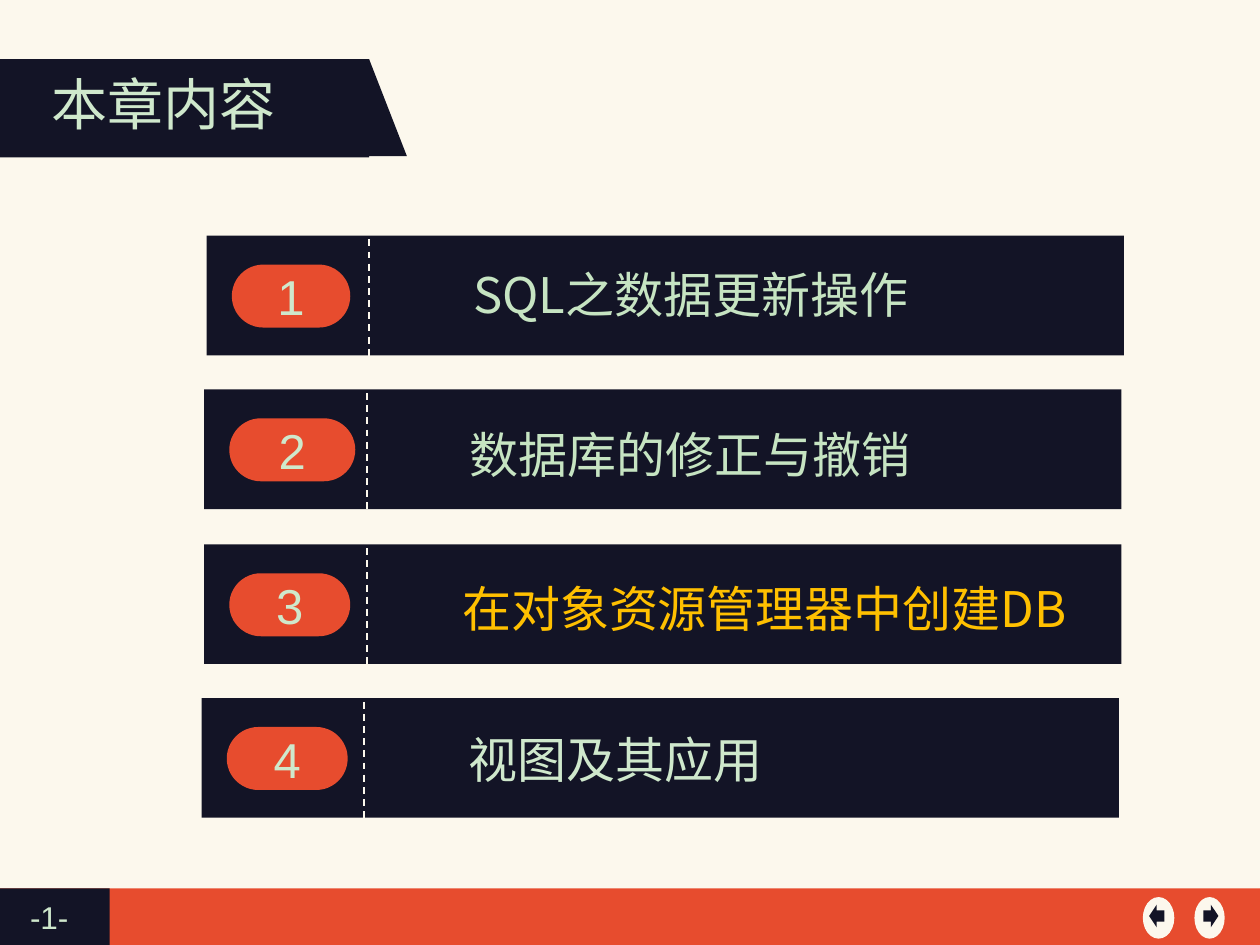
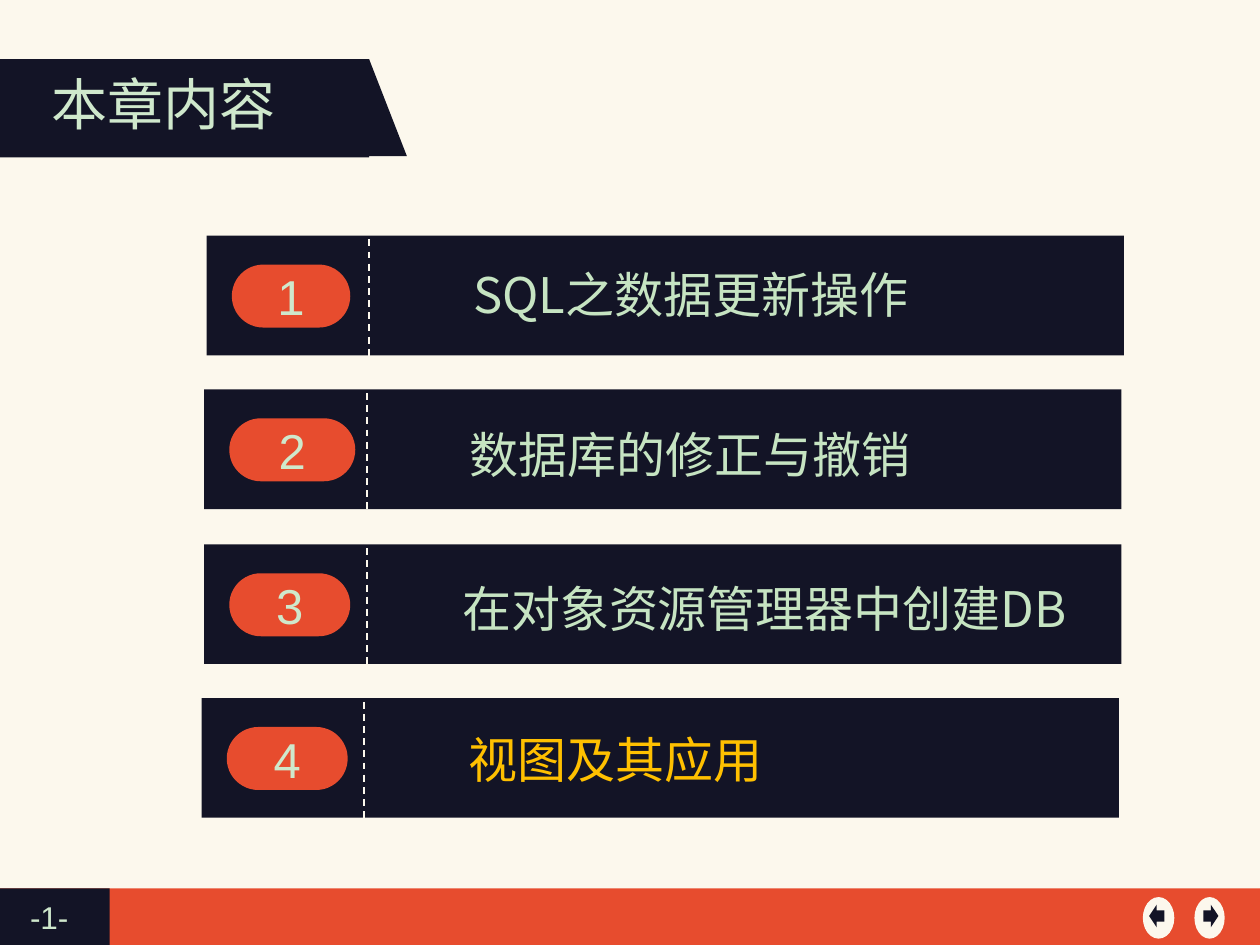
from dataclasses import dataclass
from typing import Any

from lxml import etree
from pptx import Presentation
from pptx import util as u
from pptx.dml.color import RGBColor
from pptx.enum import dml, shapes, text
from pptx.oxml.ns import qn

EMU_PER_PX = 9144  # 100 px to the inch
Preset = shapes.MSO_SHAPE


@dataclass(frozen=True)
class Theme:
    cream: str = "FCF8ED"
    orange: str = "E74C2E"
    navy: str = "131426"
    mint: str = "CFE8CC"
    soft_mint: str = "C6E4C2"
    gold: str = "FFC000"
    latin: str = "Arial"
    chinese: str = "Noto Sans CJK SC"
    title_size: int = 32
    topic_size: int = 28
    page_size: int = 18


@dataclass(frozen=True)
class Box:
    left: int
    top: int
    width: int
    height: int

    def emu(self) -> list[int]:
        return [px(n) for n in (self.left, self.top, self.width, self.height)]


@dataclass(frozen=True)
class Topic:
    name: str
    bar_left: int
    badge_width: int
    name_left: int
    name_drop: int
    name_width: int
    colour: str = Theme.soft_mint


@dataclass(frozen=True)
class NavButton:
    disc: Box
    arrow: Box
    direction: Preset


THEME = Theme()

TOPICS = (
    Topic("SQL之数据更新操作", 164, 94, 366, 18, 489),
    Topic("数据库的修正与撤销", 162, 100, 363, 23, 535),
    Topic("在对象资源管理器中创建DB", 162, 96, 357, 22, 525),
    Topic("视图及其应用", 160, 96, 362, 20, 484, THEME.mint),
)
FIRST_BAR_TOP, LAST_BAR_TOP = 187, 554
BAR_WIDTH, BAR_HEIGHT = 728, 95

NAV_BUTTONS = (
    NavButton(Box(948, 712, 24, 33), Box(955, 718, 12, 18), Preset.RIGHT_ARROW),
    NavButton(Box(907, 712, 25, 33), Box(912, 718, 12, 18), Preset.LEFT_ARROW),
)

CURRENT_TOPICS = (3, 4)  # highlighted topic number on each slide


def px(length: int) -> u.Emu:
    return u.Emu(length * EMU_PER_PX)


def rgb(colour: str) -> RGBColor:
    return RGBColor.from_string(colour)


def add_block(parent: Any, box: Box, fill: str, preset: Preset = Preset.RECTANGLE) -> Any:
    """Add a flat, borderless preset shape."""
    block = parent.shapes.add_shape(preset, *box.emu())
    block.shadow.inherit = False
    block.fill.solid()
    block.fill.fore_color.rgb = rgb(fill)
    block.line.fill.background()
    return block


def write(holder: Any, words: str, *, size: int, colour: str, font: str = THEME.latin,
          centred: bool = False, wrap: bool = True) -> None:
    frame = holder.text_frame
    frame.word_wrap = wrap
    paragraph = frame.paragraphs[0]
    paragraph.alignment = text.PP_ALIGN.CENTER if centred else text.PP_ALIGN.LEFT
    run = paragraph.add_run()
    run.text = words
    run.font.size = u.Pt(size)
    run.font.color.rgb = rgb(colour)
    run.font.name = font
    etree.SubElement(run.font._element, qn("a:ea"), typeface=font)


def add_label(parent: Any, box: Box, words: str, **style: Any) -> None:
    label = parent.shapes.add_textbox(*box.emu())
    write(label, words, **style)
    label.text_frame.auto_size = text.MSO_AUTO_SIZE.SHAPE_TO_FIT_TEXT


def add_divider(slide: Any, left: int, top: int, bottom: int) -> None:
    divider = slide.shapes.add_connector(
        shapes.MSO_CONNECTOR.STRAIGHT, px(left), px(top), px(left), px(bottom))
    divider.line.color.rgb = rgb(THEME.cream)
    divider.line.width = u.Pt(1)
    divider.line.dash_style = dml.MSO_LINE.DASH
    etree.SubElement(divider._element.spPr, qn("a:effectLst"))


def add_footer(slide: Any) -> None:
    add_block(slide, Box(0, 705, 1000, 46), THEME.orange)
    add_block(slide, Box(0, 705, 87, 46), THEME.navy)
    add_label(slide, Box(14, 708, 64, 40), "-1-", size=THEME.page_size, colour=THEME.mint)
    for button in NAV_BUTTONS:
        group = slide.shapes.add_group_shape()
        add_block(group, button.disc, THEME.cream, Preset.OVAL)
        add_block(group, button.arrow, THEME.navy, button.direction)


def add_title(slide: Any, title: str) -> None:
    banner = slide.shapes.add_group_shape()
    add_block(banner, Box(0, 47, 293, 78), THEME.navy)
    add_block(banner, Box(293, 47, 30, 77), THEME.navy, Preset.RIGHT_TRIANGLE)
    add_label(banner, Box(31, 50, 198, 63), title, size=THEME.title_size,
              colour=THEME.mint, font=THEME.chinese, centred=True, wrap=False)


def add_topic(slide: Any, number: int, topic: Topic, current: bool) -> None:
    pitch = (LAST_BAR_TOP - FIRST_BAR_TOP) / (len(TOPICS) - 1)
    top = FIRST_BAR_TOP + round((number - 1) * pitch)
    add_block(slide, Box(topic.bar_left, top, BAR_WIDTH, BAR_HEIGHT), THEME.navy)
    add_divider(slide, topic.bar_left + 129, top + 3, top + 99)

    badge = add_block(slide, Box(topic.bar_left + 20, top + 23, topic.badge_width, 50),
                      THEME.orange, Preset.ROUNDED_RECTANGLE)
    badge.adjustments[0] = 0.5
    badge.text_frame.vertical_anchor = text.MSO_ANCHOR.MIDDLE
    write(badge, str(number), size=THEME.topic_size, colour=THEME.mint, centred=True)

    add_label(slide, Box(topic.name_left, top + topic.name_drop, topic.name_width, 57),
              topic.name, size=THEME.topic_size, font=THEME.chinese,
              colour=THEME.gold if current else topic.colour)


def add_contents_slide(deck: Any, current_topic: int) -> None:
    slide = deck.slides.add_slide(deck.slide_layouts[6])
    slide.background.fill.solid()
    slide.background.fill.fore_color.rgb = rgb(THEME.cream)
    add_footer(slide)
    add_title(slide, "本章内容")
    for number, topic in enumerate(TOPICS, start=1):
        add_topic(slide, number, topic, number == current_topic)


def main() -> None:
    deck = Presentation()
    deck.slide_width, deck.slide_height = px(1000), px(750)
    for current_topic in CURRENT_TOPICS:
        add_contents_slide(deck, current_topic)
    deck.save("out.pptx")


if __name__ == "__main__":
    main()
